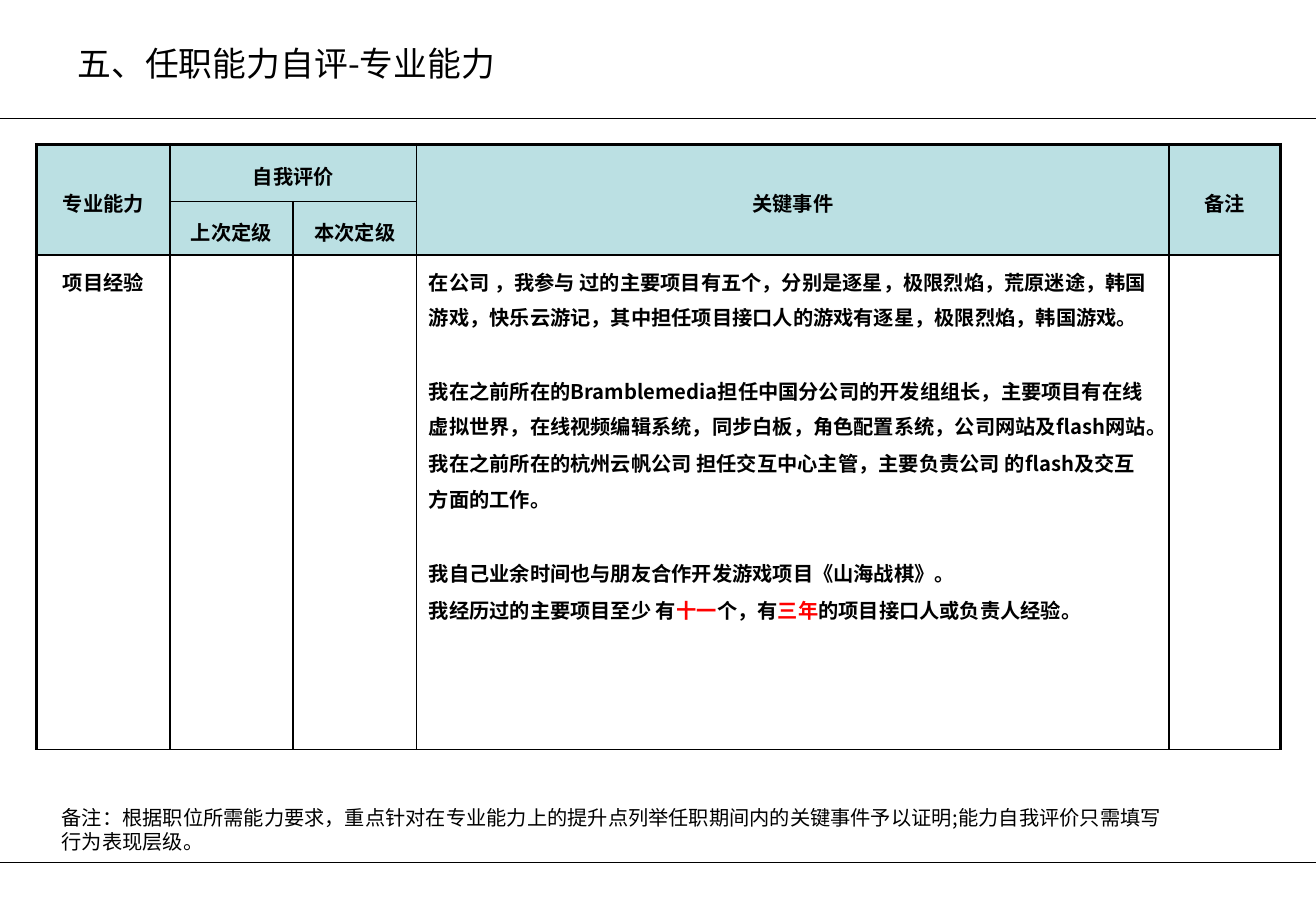
import dataclasses

import pptx
import pptx.dml.color
import pptx.enum.shapes
import pptx.enum.text
import pptx.oxml.ns
import pptx.util
from lxml import etree

Inches = pptx.util.Inches
Pt = pptx.util.Pt
qn = pptx.oxml.ns.qn
ALIGN = pptx.enum.text.PP_ALIGN
ANCHOR = pptx.enum.text.MSO_ANCHOR


@dataclasses.dataclass(frozen=True)
class Theme:
    ink: str = "000000"
    accent: str = "FF0000"
    header: str = "BBE0E3"
    font: str = "Noto Sans CJK SC"
    label_font: str = "Arial"
    title_size: float = 20
    body_size: float = 12
    rule: float = 0.25
    grid: float = 1
    frame: float = 2.25


THEME = Theme()

COLUMNS = [1.1, 1.01, 1.02, 6.19, 0.92]
ROWS = [0.47, 0.44, 4.07]

# Header cells: first row, first column, last row, last column, text
HEADERS = [
    (0, 0, 1, 0, "专业能力"),
    (0, 1, 0, 2, "自我评价"),
    (0, 3, 1, 3, "关键事件"),
    (0, 4, 1, 4, "备注"),
    (1, 1, 1, 1, "上次定级"),
    (1, 2, 1, 2, "本次定级"),
]

# Key events: space before in points, then (text, colour) spans
TIGHT, WIDE = 1.2, 23
EVENTS = [
    (TIGHT, [("在公司 ，我参与 过的主要项目有五个，分别是逐星，极限烈焰，荒原迷途，韩国游戏，"
              "快乐云游记，其中担任项目接口人的游戏有逐星，极限烈焰，韩国游戏。", THEME.ink)]),
    (WIDE, [("我在之前所在的Bramblemedia担任中国分公司的开发组组长，主要项目有在线虚拟世界，"
             "在线视频编辑系统，同步白板，角色配置系统，公司网站及flash网站。", THEME.ink)]),
    (TIGHT, [("我在之前所在的杭州云帆公司 担任交互中心主管，主要负责公司 的flash及交互 方面的工作。",
              THEME.ink)]),
    (WIDE, [("我自己业余时间也与朋友合作开发游戏项目《山海战棋》。", THEME.ink)]),
    (TIGHT, [("我经历过的主要项目至少 有", THEME.ink), ("十一", THEME.accent),
             ("个，有", THEME.ink), ("三年", THEME.accent),
             ("的项目接口人或负责人经验。", THEME.ink)]),
]


def rgb(value):
    return pptx.dml.color.RGBColor.from_string(value)


def add_span(para, text, size, color=THEME.ink, bold=False, font=THEME.font):
    span = para.add_run()
    span.text = text
    span.font.size = Pt(size)
    span.font.bold = bold
    span.font.color.rgb = rgb(color)
    span.font.name = font
    # East Asian text takes its typeface from a separate element
    etree.SubElement(span.font._element, qn("a:ea"), typeface=THEME.font)


def add_rule(page, top, width):
    line = page.shapes.add_connector(pptx.enum.shapes.MSO_CONNECTOR.STRAIGHT,
                                     Inches(0), Inches(top), width, Inches(top))
    line.line.color.rgb = rgb(THEME.ink)
    line.line.width = Pt(THEME.rule)
    etree.SubElement(line._element.spPr, qn("a:effectLst"))


def add_text(page, left, top, width, height, size, spans):
    box = page.shapes.add_textbox(Inches(left), Inches(top), Inches(width), Inches(height))
    box.text_frame.word_wrap = True
    para = box.text_frame.paragraphs[0]
    for text, font in spans:
        add_span(para, text, size, font=font)


def set_border(cell, widths):
    properties = cell._tc.get_or_add_tcPr()
    for side, width in zip("LRTB", widths):
        line = etree.SubElement(properties, qn(f"a:ln{side}"), w=str(Pt(width)))
        fill = etree.SubElement(line, qn("a:solidFill"))
        etree.SubElement(fill, qn("a:srgbClr"), val=THEME.ink)


def fill_cell(cell, paragraphs, align=ALIGN.LEFT):
    frame = cell.text_frame
    for index, (space, spans) in enumerate(paragraphs):
        para = frame.add_paragraph() if index else frame.paragraphs[0]
        para.alignment = align
        para.line_spacing = 1.2
        para.space_before = Pt(space)
        for text, color in spans:
            add_span(para, text, THEME.body_size, color, bold=True)


def add_label(cell, text):
    fill_cell(cell, [(TIGHT, [(text, THEME.ink)])], ALIGN.CENTER)


def add_ability_table(page):
    table = page.shapes.add_table(len(ROWS), len(COLUMNS), Inches(0.3), Inches(1.19),
                                  Inches(sum(COLUMNS)), Inches(sum(ROWS))).table
    table.first_row = table.horz_banding = False
    for column, width in zip(table.columns, COLUMNS):
        column.width = Inches(width)
    for row, height in zip(table.rows, ROWS):
        row.height = Inches(height)

    # Thick frame on the left, right and top; thin grid elsewhere
    for r in range(len(ROWS)):
        for c in range(len(COLUMNS)):
            cell = table.cell(r, c)
            outer = (c == 0, c == len(COLUMNS) - 1, r == 0, False)
            set_border(cell, [THEME.frame if edge else THEME.grid for edge in outer])
            if r < 2:
                cell.fill.solid()
                cell.fill.fore_color.rgb = rgb(THEME.header)
            else:
                cell.fill.background()

    # Header block
    for top, left, bottom, right, text in HEADERS:
        cell = table.cell(top, left)
        if (top, left) != (bottom, right):
            cell.merge(table.cell(bottom, right))
        cell.vertical_anchor = ANCHOR.MIDDLE
        add_label(cell, text)

    # Experience row
    add_label(table.cell(2, 0), "项目经验")
    fill_cell(table.cell(2, 3), EVENTS)


def main():
    deck = pptx.Presentation()
    deck.slide_width, deck.slide_height = Inches(10.83), Inches(7.5)
    page = deck.slides.add_slide(deck.slide_layouts[6])

    # Rules above and below the content
    for top in (0.97, 7.1):
        add_rule(page, top, deck.slide_width)

    # Title and footnote
    add_text(page, 0.54, 0.3, 9.01, 0.62, THEME.title_size,
             [("五、任职能力自评-专业能力", THEME.font)])
    add_text(page, 0.41, 6.58, 9.27, 0.51, THEME.body_size,
             [("备注：", THEME.label_font),
              ("根据职位所需能力要求，重点针对在专业能力上的提升点列举任职期间内的关键事件予以证明;"
               "能力自我评价只需填写行为表现层级。", THEME.font)])

    add_ability_table(page)
    deck.save("out.pptx")


if __name__ == "__main__":
    main()
